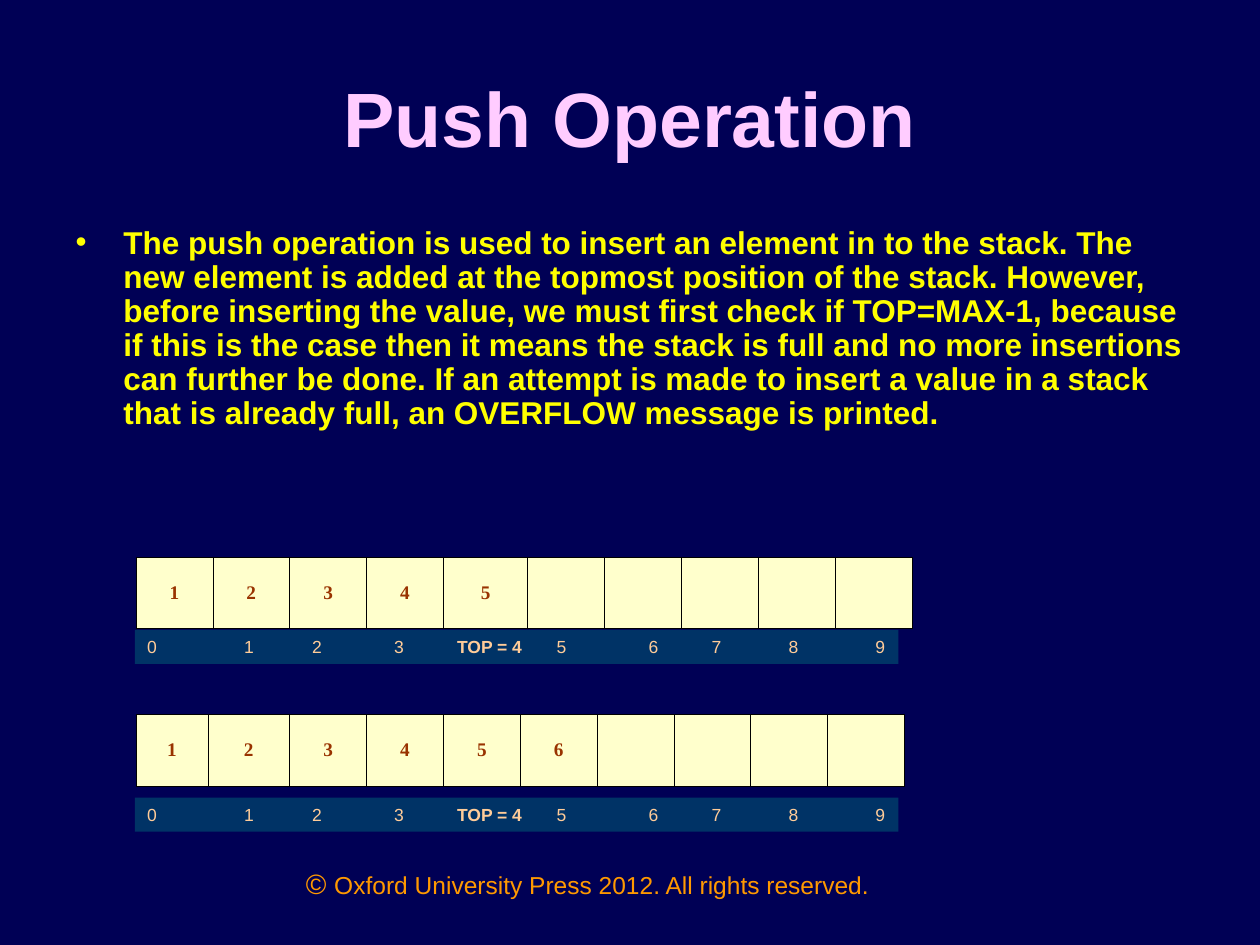
import pptx
import pptx.util
import pptx.dml.color
import pptx.enum.shapes
import pptx.enum.text
import pptx.oxml
import pptx.oxml.ns
from lxml import etree

Inches = pptx.util.Inches
Pt = pptx.util.Pt
RGBColor = pptx.dml.color.RGBColor
PP_ALIGN = pptx.enum.text.PP_ALIGN
MSO_ANCHOR = pptx.enum.text.MSO_ANCHOR
qn = pptx.oxml.ns.qn

NAVY = RGBColor(0x00, 0x00, 0x55)
BLUE = RGBColor(0x00, 0x33, 0x66)
PINK = RGBColor(0xFF, 0xCC, 0xFF)
YELLOW = RGBColor(0xFF, 0xFF, 0x00)
CREAM = RGBColor(0xFF, 0xFF, 0xCC)
BROWN = RGBColor(0x99, 0x33, 0x00)
PEACH = RGBColor(0xFF, 0xCC, 0x99)
ORANGE = RGBColor(0xFF, 0x99, 0x00)
BLACK = RGBColor(0x00, 0x00, 0x00)


def add_run(p, text, size, color, bold=False, name="Arial"):
    r = p.add_run()
    r.text = text
    r.font.size = Pt(size)
    r.font.name = name
    r.font.bold = bold
    r.font.color.rgb = color


def add_borders(cell):
    tcPr = cell._tc.get_or_add_tcPr()
    for side in ("lnL", "lnR", "lnT", "lnB"):
        ln = etree.SubElement(tcPr, qn("a:" + side), w=str(Pt(0.45)))
        fill = etree.SubElement(ln, qn("a:solidFill"))
        etree.SubElement(fill, qn("a:srgbClr"), val=str(BLACK))


prs = pptx.Presentation()
prs.slide_width, prs.slide_height = Inches(10), Inches(7.5)
s = prs.slides.add_slide(prs.slide_layouts[1])
s.background.fill.solid()
s.background.fill.fore_color.rgb = NAVY

# Footer
sp = s.shapes.add_textbox(Inches(2), Inches(6.83), Inches(5.33), Inches(0.52))
sp.text_frame.word_wrap = True
p = sp.text_frame.paragraphs[0]
p.alignment = PP_ALIGN.CENTER
add_run(p, "© ", 16, ORANGE)
add_run(p, "Oxford University Press 2012. All rights reserved.", 14, ORANGE)

# Title
sp = s.shapes.title
sp.left, sp.top, sp.width, sp.height = Inches(0.5), Inches(0.3), Inches(9), Inches(1.25)
tf = sp.text_frame
tf.auto_size = pptx.enum.text.MSO_AUTO_SIZE.NONE
tf.vertical_anchor = MSO_ANCHOR.MIDDLE
p = tf.paragraphs[0]
p.alignment = PP_ALIGN.CENTER
add_run(p, "Push Operation", 44, PINK, True)

# Body
sp = s.placeholders[1]
sp.left, sp.top, sp.width, sp.height = Inches(0.5), Inches(1.75), Inches(9), Inches(1.79)
tf = sp.text_frame
tf.auto_size = pptx.enum.text.MSO_AUTO_SIZE.NONE
p = tf.paragraphs[0]
p.line_spacing = 0.9
p.space_before = Pt(0)
pPr = p._p.get_or_add_pPr()
pPr.set("marL", str(Inches(0.38)))
pPr.set("indent", str(-Inches(0.38)))
bullet_color = etree.SubElement(pPr, qn("a:buClr"))
etree.SubElement(bullet_color, qn("a:srgbClr"), val=str(YELLOW))
etree.SubElement(pPr, qn("a:buChar"), char="•")
add_run(p, "The push operation is used to insert an element in to the stack. "
           "The new element is added at the topmost position of the stack. "
           "However, before inserting the value, we must first check if TOP=MAX-1, "
           "because if this is the case then it means the stack is full and no more "
           "insertions can further be done. If an attempt is made to insert a value "
           "in a stack that is already full, an OVERFLOW message is printed.",
        18, YELLOW, True)

# Stack before and after the push, each with its row of indices
COLS = 10
CELL = 0.61
INDEX_TABS = (0.77, 1.31, 1.96, 2.46, 3.25, 3.98, 4.48, 5.09, 5.78)
stacks = [  # top, index row top, number of values, columns of other width
    (4.42, 5.0, 5, {4: 0.67}),
    (5.67, 6.33, 6, {0: 0.57, 1: 0.65}),
]
for top, index_top, count, widths in stacks:
    frame = s.shapes.add_table(1, COLS, Inches(1.08), Inches(top), Inches(6.15), Inches(0.57))
    table = frame.table
    table.first_row = table.horz_banding = False
    for col in range(COLS):
        table.columns[col].width = Inches(widths.get(col, CELL))
        cell = table.cell(0, col)
        add_borders(cell)
        cell.fill.solid()
        cell.fill.fore_color.rgb = CREAM
        cell.vertical_anchor = MSO_ANCHOR.MIDDLE
        if col < count:
            p = cell.text_frame.paragraphs[0]
            p.alignment = PP_ALIGN.CENTER
            add_run(p, str(col + 1), 11, BROWN, True, "Times New Roman")

    sp = s.shapes.add_shape(pptx.enum.shapes.MSO_SHAPE.RECTANGLE,
                            Inches(1.07), Inches(index_top), Inches(6.06), Inches(0.27))
    sp.shadow.inherit = False
    sp.fill.solid()
    sp.fill.fore_color.rgb = BLUE
    sp.line.fill.background()
    tf = sp.text_frame
    tf.word_wrap = True
    tf.margin_right = 0
    tf.vertical_anchor = MSO_ANCHOR.MIDDLE
    p = tf.paragraphs[0]
    p.alignment = PP_ALIGN.LEFT
    tabs = etree.SubElement(p._p.get_or_add_pPr(), qn("a:tabLst"))
    for pos in INDEX_TABS:
        etree.SubElement(tabs, qn("a:tab"), pos=str(Inches(pos)), algn="l")
    add_run(p, "0\t1\t2\t3\t", 10, PEACH)
    add_run(p, "TOP = 4", 10, PEACH, True)
    add_run(p, "\t5\t6\t7\t8\t9", 10, PEACH)

prs.save("out.pptx")
